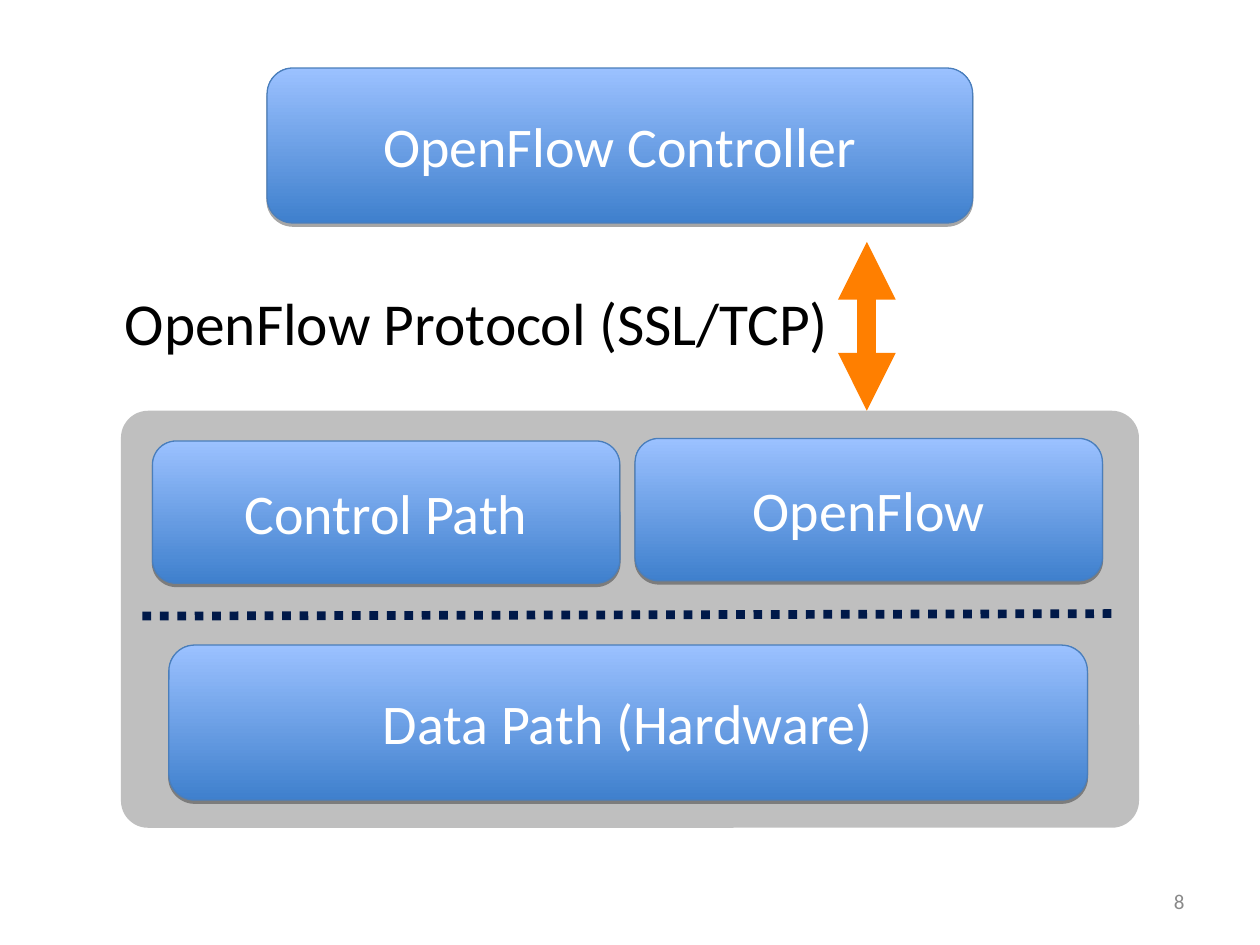
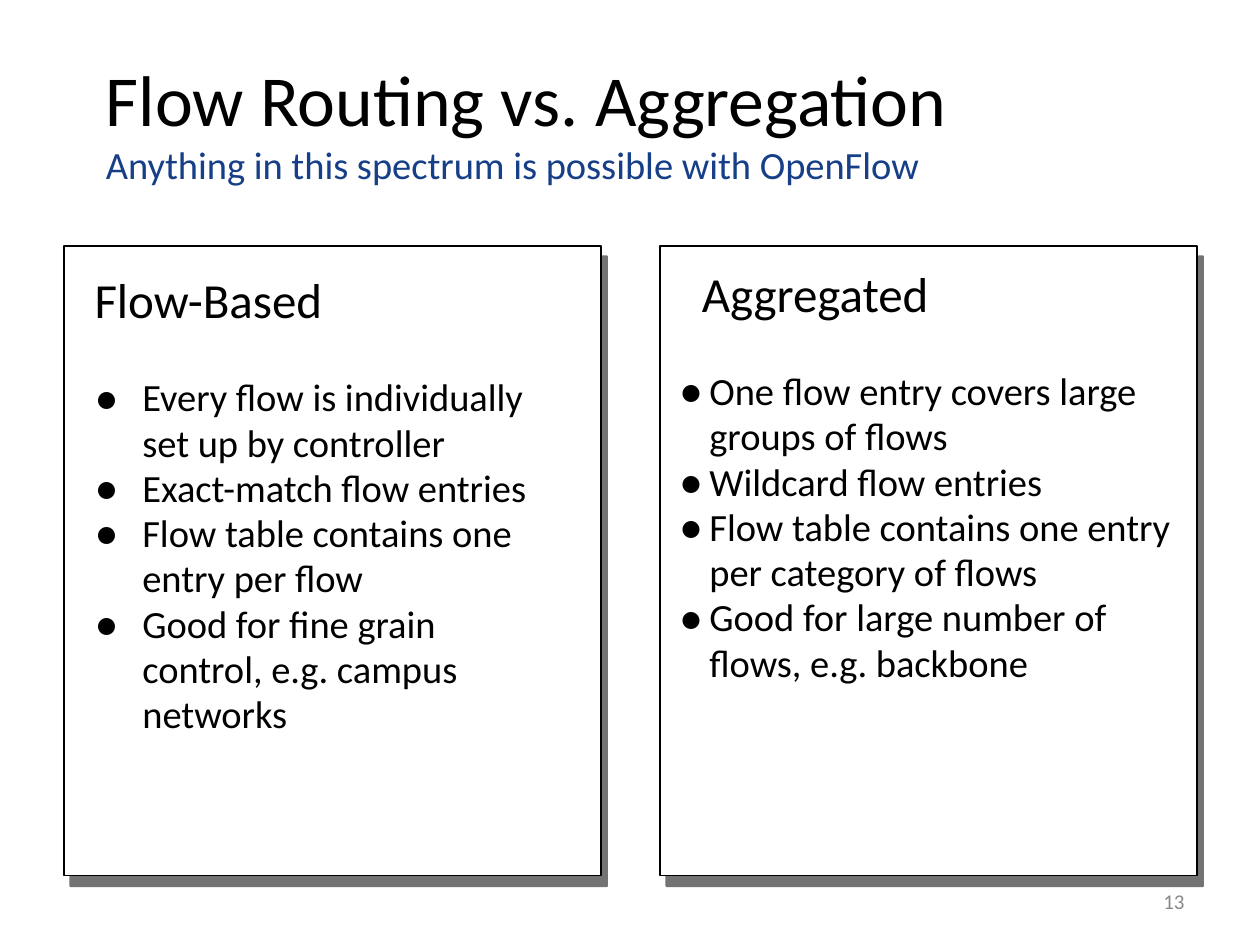
from dataclasses import dataclass

from lxml.etree import SubElement
from pptx import Presentation
from pptx.dml.color import RGBColor
from pptx.enum.dml import MSO_LINE
from pptx.enum.shapes import MSO_CONNECTOR, MSO_SHAPE as Preset
from pptx.enum.text import MSO_ANCHOR as Anchor, MSO_AUTO_SIZE as AutoSize, PP_ALIGN as Align
from pptx.oxml.ns import qn
from pptx.util import Inches, Pt

FONT = "Calibri"
COLORS = {
    "text": "000000", "white": "FFFFFF", "page": "898989", "subtitle": "163F88",
    "switch": "BFBFBF", "divider": "001949", "protocol": "FF7F00",
    "block_low": "3F80CD", "block_high": "9BC1FF", "block_edge": "4A7EBB",
}
Box = tuple[float, float, float, float]


@dataclass(frozen=True)
class Shadow:
    alpha: int
    distance: float
    angle: int


@dataclass(frozen=True)
class Block:
    text: str
    box: Box


@dataclass(frozen=True)
class Panel:
    heading: str
    points: tuple[str, ...]
    left: float
    text_left: float
    heading_indent: float
    hang: float
    margins: tuple[float, float]  # sides, top and bottom


BLOCK_SHADOW = Shadow(35, 1.8, 90)
PANEL_SHADOW = Shadow(55, 7, 60)

BLOCKS = (
    Block("OpenFlow Controller", (2.12, 0.54, 5.6, 1.23)),
    Block("Control Path", (1.21, 3.5, 3.71, 1.13)),
    Block("OpenFlow", (5.04, 3.48, 3.71, 1.13)),
    Block("Data Path (Hardware)", (1.34, 5.12, 7.29, 1.23)),
)

PANELS = (
    Panel("Flow-Based", (
        "Every flow is individually set up by controller",
        "Exact-match flow entries",
        "Flow table contains one entry per flow",
        "Good for fine grain control, e.g. campus networks",
    ), 0.51, 0.65, 0, 0.38, (0.1, 0.05)),
    Panel("Aggregated", (
        "One flow entry covers large groups of flows",
        "Wildcard flow entries",
        "Flow table contains one entry per category of flows",
        "Good for large number of flows, e.g. backbone",
    ), 5.24, 5.39, 0.18, 0.24, (0, 0)),
)


# Shared helpers
def rgb(name: str) -> RGBColor:
    return RGBColor.from_string(COLORS[name])


def apply(target, values: dict) -> None:
    for name, value in values.items():
        setattr(target, name, value)


def place(shape, box: Box) -> None:
    apply(shape, dict(zip(("left", "top", "width", "height"), map(Inches, box))))


def set_frame(frame, side: float = 0.1, top: float = 0.05, bottom: float = 0.05,
              anchor=Anchor.MIDDLE, wrap: bool = True) -> None:
    apply(frame, {
        "auto_size": AutoSize.NONE, "word_wrap": wrap, "vertical_anchor": anchor,
        "margin_left": Inches(side), "margin_right": Inches(side),
        "margin_top": Inches(top), "margin_bottom": Inches(bottom),
    })


def write(paragraph, text: str, size: float, color: str = "text", align=Align.LEFT) -> None:
    apply(paragraph, {"alignment": align, "space_before": Pt(0)})
    run = paragraph.add_run()
    run.text = text
    apply(run.font, {"name": FONT, "size": Pt(size), "bold": False})
    run.font.color.rgb = rgb(color)


def add_filled(slide, preset, box: Box, fill: str | None = None, edge: str | None = None,
               edge_width: float = 1, shadow: Shadow | None = None):
    """Add a preset shape; without a fill name it gets the block gradient."""
    shape = slide.shapes.add_shape(preset, *map(Inches, box))
    shape.shadow.inherit = False
    if fill:
        shape.fill.solid()
        shape.fill.fore_color.rgb = rgb(fill)
    else:
        shape.fill.gradient()
        shape.fill.gradient_angle = 90
        for stop, name in zip(shape.fill.gradient_stops, ("block_low", "block_high")):
            stop.color.rgb = rgb(name)
    if edge:
        shape.line.color.rgb = rgb(edge)
        shape.line.width = Pt(edge_width)
    else:
        shape.line.fill.background()
    if shadow:
        effects = shape.element.spPr.find(qn("a:effectLst"))
        outer = SubElement(effects, qn("a:outerShdw"), blurRad="0",
                           dist=str(int(Pt(shadow.distance))), dir=str(shadow.angle * 60000),
                           algn="ctr", rotWithShape="0")
        color = SubElement(outer, qn("a:srgbClr"), val=COLORS["text"])
        SubElement(color, qn("a:alpha"), val=str(shadow.alpha * 1000))
    return shape


def add_line(slide, start: tuple[float, float], end: tuple[float, float],
             color: str, width: float):
    line = slide.shapes.add_connector(MSO_CONNECTOR.STRAIGHT, *map(Inches, start + end))
    line.line.color.rgb = rgb(color)
    line.line.width = Pt(width)
    SubElement(line.element.spPr, qn("a:effectLst"))
    return line


def add_label(slide, box: Box, text: str, size: float, color: str = "text",
              align=Align.LEFT, **frame_options) -> None:
    label = slide.shapes.add_textbox(*map(Inches, box))
    set_frame(label.text_frame, **frame_options)
    write(label.text_frame.paragraphs[0], text, size, color, align)


def add_page_number(slide, number: int) -> None:
    add_label(slide, (7.17, 6.95, 2.33, 0.4), str(number), 12, "page", Align.RIGHT)


def set_bullet(paragraph, hang: float) -> None:
    properties = paragraph._p.get_or_add_pPr()
    apply_indent(paragraph, hang, -hang)
    SubElement(SubElement(properties, qn("a:buClr")), qn("a:srgbClr"), val=COLORS["text"])
    SubElement(properties, qn("a:buSzPct"), val="125000")
    SubElement(properties, qn("a:buFont"), typeface=FONT)
    SubElement(properties, qn("a:buChar"), char="•")


def apply_indent(paragraph, left: float, first: float) -> None:
    properties = paragraph._p.get_or_add_pPr()
    properties.set("marL", str(int(Inches(left))))
    properties.set("indent", str(int(Inches(first))))


# OpenFlow architecture
def build_architecture(deck) -> None:
    slide = deck.slides.add_slide(deck.slide_layouts[6])
    switch = add_filled(slide, Preset.ROUNDED_RECTANGLE, (0.96, 3.26, 8.08, 3.31), "switch")
    switch.adjustments[0] = 0.065

    divider = add_line(slide, (1.13, 4.89), (8.87, 4.87), "divider", 5)
    divider.line.dash_style = MSO_LINE.ROUND_DOT

    protocol = add_line(slide, (6.88, 1.92), (6.88, 3.26), "protocol", 11)
    outline = protocol.line._get_or_add_ln()
    for end in ("a:headEnd", "a:tailEnd"):
        SubElement(outline, qn(end), type="triangle")
    add_label(slide, (0.99, 2.27, 5.61, 0.57), "OpenFlow Protocol (SSL/TCP)", 34,
              side=0, top=0, bottom=0, wrap=False)

    add_page_number(slide, 8)
    for block in BLOCKS:
        shape = add_filled(slide, Preset.ROUNDED_RECTANGLE, block.box, edge="block_edge",
                           edge_width=0.75, shadow=BLOCK_SHADOW)
        set_frame(shape.text_frame)
        write(shape.text_frame.paragraphs[0], block.text, 32, "white", Align.CENTER)


# Comparison of flow routing and aggregation
def fill_panel(slide, body, panel: Panel) -> None:
    card = add_filled(slide, Preset.RECTANGLE, (panel.left, 1.95, 4.26, 5), "white", "text",
                      shadow=PANEL_SHADOW)
    card.element.getparent().insert(2, card.element)  # behind the placeholders

    place(body, (panel.text_left, 2.09, 3.92, 4.77))
    frame = body.text_frame
    side, edge = panel.margins
    set_frame(frame, side, edge, edge, Anchor.TOP)
    heading = frame.paragraphs[0]
    apply_indent(heading, panel.heading_indent, 0)
    SubElement(heading._p.get_or_add_pPr(), qn("a:buNone"))
    write(heading, panel.heading, 28)
    heading.space_after = Pt(27)
    for point in panel.points:
        item = frame.add_paragraph()
        set_bullet(item, panel.hang)
        write(item, point, 22)
        item.line_spacing = 0.98


def build_comparison(deck) -> None:
    slide = deck.slides.add_slide(deck.slide_layouts[3])
    title, *bodies = slide.placeholders
    place(title, (0.74, 0.24, 8.54, 1.34))
    set_frame(title.text_frame, top=0.1, bottom=0)
    write(title.text_frame.paragraphs[0], "Flow Routing vs. Aggregation", 41)
    write(title.text_frame.add_paragraph(),
          "Anything in this spectrum is possible with OpenFlow", 22, "subtitle")
    for body, panel in zip(bodies, PANELS):
        fill_panel(slide, body, panel)
    add_page_number(slide, 13)


def main() -> None:
    deck = Presentation()
    apply(deck, {"slide_width": Inches(10), "slide_height": Inches(7.5)})
    build_architecture(deck)
    build_comparison(deck)
    deck.save("out.pptx")


if __name__ == "__main__":
    main()
